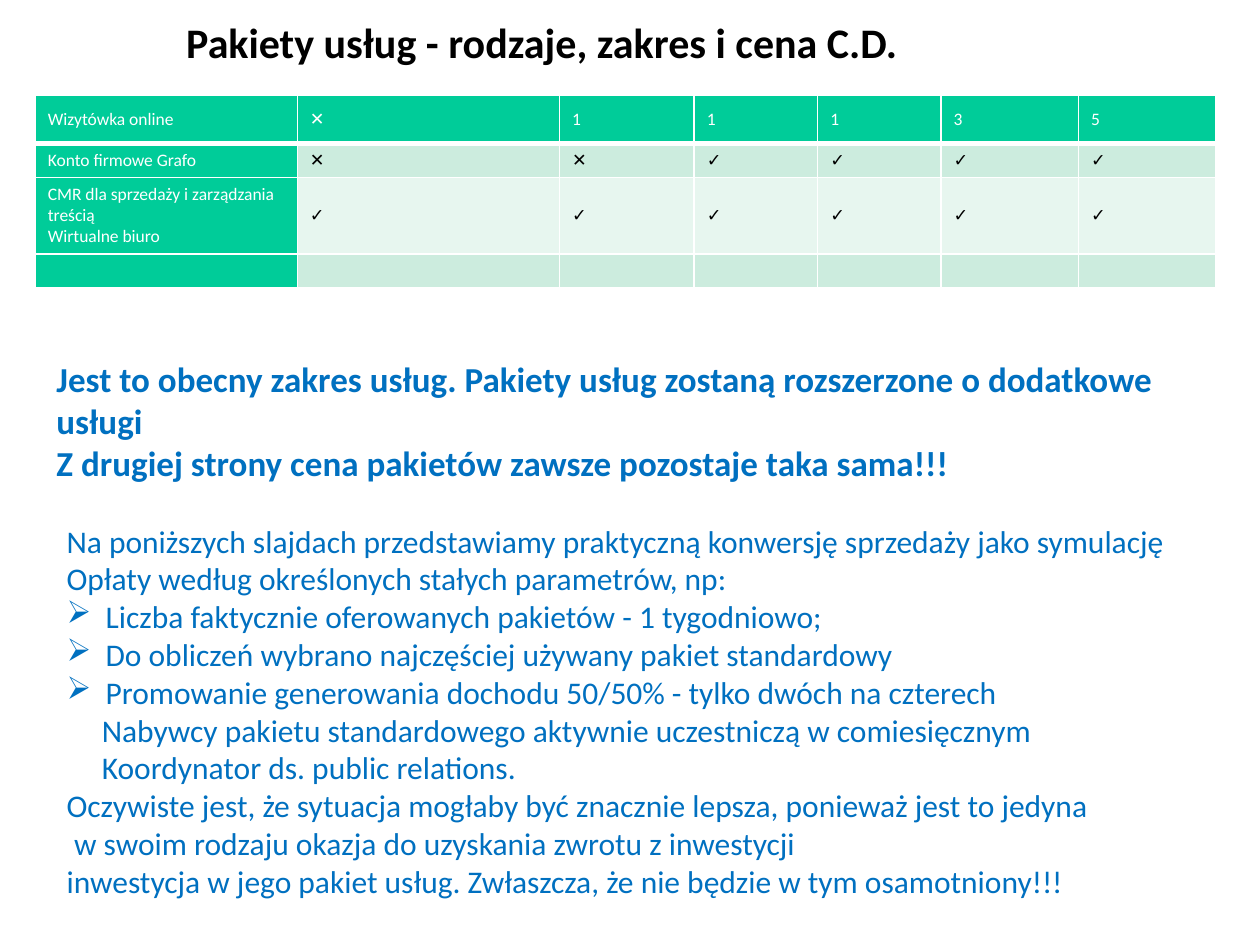
from lxml.etree import SubElement
from pptx import Presentation
from pptx.dml.color import RGBColor
from pptx.enum.text import MSO_ANCHOR as Anchor
from pptx.oxml.ns import qn
from pptx.util import Inches, Pt

WHITE = RGBColor(0xFF, 0xFF, 0xFF)
BLACK = RGBColor(0, 0, 0)
BLUE = RGBColor(0x00, 0x70, 0xC0)
GREEN = RGBColor(0x00, 0xCC, 0x99)
MINT = RGBColor(0xCC, 0xEC, 0xDE)
PALE = RGBColor(0xE7, 0xF6, 0xEF)

NO, YES = "✕", "✓"
ROWS = [
    ["Wizytówka online", NO, "1", "1", "1", "3", "5"],
    ["Konto firmowe Grafo", NO, NO] + [YES] * 4,
    ["CMR dla sprzedaży i zarządzania treścią\vWirtualne biuro"] + [YES] * 6,
    [""] * 7,
]
COLUMN_WIDTHS = [2.08, 2.08, 1.07, 0.98, 0.98, 1.09, 1.09]
ROW_HEIGHTS = [0.38, 0.26, 0.6, 0.26]
TABLE_AT = (0.28, 0.76, sum(COLUMN_WIDTHS), sum(ROW_HEIGHTS))
CELL_FONT = {"name": "Calibri", "size": Pt(10), "bold": False}

PLAIN, BULLET, NESTED, SHIFTED = (0, 0), (0.31, -0.31), (0.28, 0), (0.06, 0)
TEXTS = [
    {
        "at": (1.38, 0.08, 6.66, 0.5),
        "font": {"name": "Calibri", "size": Pt(24), "bold": True},
        "color": BLACK,
        "lines": [("Pakiety usług - rodzaje, zakres i cena C.D.", PLAIN)],
    },
    {
        "at": (0.35, 2.79, 9.3, 0.77),
        "font": {"name": "Calibri", "size": Pt(20), "bold": True},
        "color": BLUE,
        "lines": [
            ("Jest to obecny zakres usług. Pakiety usług zostaną rozszerzone o dodatkowe usługi", PLAIN),
            ("Z drugiej strony cena pakietów zawsze pozostaje taka sama!!!", PLAIN),
        ],
    },
    {
        "at": (0.43, 4.09, 9.01, 3.13),
        "font": {"name": "Calibri", "size": Pt(18), "bold": False},
        "color": BLUE,
        "lines": [
            ("Na poniższych slajdach przedstawiamy praktyczną konwersję sprzedaży jako symulację", PLAIN),
            ("Opłaty według określonych stałych parametrów, np:", PLAIN),
            ("Liczba faktycznie oferowanych pakietów - 1 tygodniowo;", BULLET),
            ("Do obliczeń wybrano najczęściej używany pakiet standardowy", BULLET),
            ("Promowanie generowania dochodu 50/50% - tylko dwóch na czterech", BULLET),
            ("Nabywcy pakietu standardowego aktywnie uczestniczą w comiesięcznym", NESTED),
            ("Koordynator ds. public relations.", NESTED),
            ("Oczywiste jest, że sytuacja mogłaby być znacznie lepsza, ponieważ jest to jedyna", PLAIN),
            ("w swoim rodzaju okazja do uzyskania zwrotu z inwestycji", SHIFTED),
            ("inwestycja w jego pakiet usług. Zwłaszcza, że nie będzie w tym osamotniony!!!", PLAIN),
        ],
    },
]


def format_font(font, values, color):
    for name, value in values.items():
        setattr(font, name, value)
    font.color.rgb = color


def add_borders(cell, bottom):
    props = cell._tc.get_or_add_tcPr()
    for index, (side, width) in enumerate({"lnL": 1, "lnR": 1, "lnT": 1, "lnB": bottom}.items()):
        line = SubElement(props, qn(f"a:{side}"), w=str(Pt(width)))
        fill = SubElement(line, qn("a:solidFill"))
        SubElement(fill, qn("a:srgbClr"), val=str(WHITE))
        props.insert(index, line)


def add_table(page):
    table = page.shapes.add_table(len(ROWS), len(COLUMN_WIDTHS), *map(Inches, TABLE_AT)).table
    for column, width in zip(table.columns, COLUMN_WIDTHS):
        column.width = Inches(width)
    for r, (row, height) in enumerate(zip(ROWS, ROW_HEIGHTS)):
        table.rows[r].height = Inches(height)
        for c, text in enumerate(row):
            cell = table.cell(r, c)
            accent = r == 0 or c == 0
            cell.fill.solid()
            cell.fill.fore_color.rgb = GREEN if accent else MINT if r % 2 else PALE
            cell.vertical_anchor = Anchor.MIDDLE
            add_borders(cell, 3 if r == 0 else 1)
            cell.text_frame.text = text
            para = cell.text_frame.paragraphs[0]
            for span in para.runs:
                format_font(span.font, CELL_FONT, WHITE if accent else BLACK)
            if not text:
                SubElement(para._p, qn("a:endParaRPr"), sz=str(int(CELL_FONT["size"].pt * 100)))


def add_text(page, at, font, color, lines):
    frame = page.shapes.add_textbox(*map(Inches, at)).text_frame
    frame.word_wrap = True
    for index, (text, indent) in enumerate(lines):
        para = frame.add_paragraph() if index else frame.paragraphs[0]
        span = para.add_run()
        span.text = text
        format_font(span.font, font, color)
        props = para._p.get_or_add_pPr()
        for name, value in zip(("marL", "indent"), indent):
            props.set(name, str(Inches(value)))
        if indent == BULLET:
            SubElement(props, qn("a:buChar"), char="➢")


def main():
    deck = Presentation()
    deck.slide_width, deck.slide_height = Inches(10), Inches(7.5)
    page = deck.slides.add_slide(deck.slide_layouts[6])
    add_table(page)
    for text in TEXTS:
        add_text(page, **text)
    deck.save("out.pptx")


if __name__ == "__main__":
    main()
